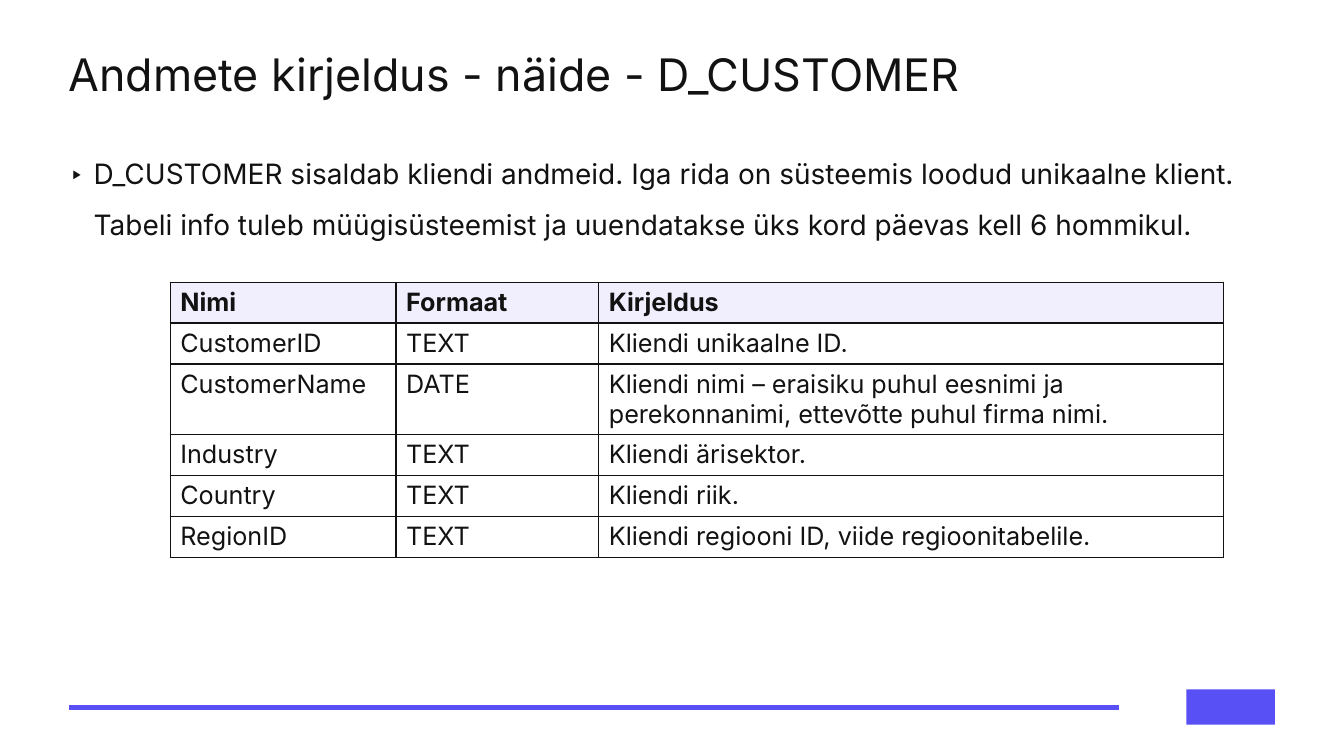
from dataclasses import dataclass

from lxml import etree
from pptx import Presentation
from pptx.dml.color import RGBColor
from pptx.enum.shapes import MSO_CONNECTOR, MSO_SHAPE
from pptx.oxml.ns import qn
from pptx.slide import Slide
from pptx.table import _Cell
from pptx.text.text import _Paragraph
from pptx.util import Cm, Pt

STRAIGHT = MSO_CONNECTOR.STRAIGHT
RECTANGLE = MSO_SHAPE.RECTANGLE


@dataclass(frozen=True)
class Theme:
    font: str = "Inter"
    ink: str = "121212"
    accent: str = "584FF5"
    header_fill: str = "F1EFFE"
    title_size: int = 32
    body_size: int = 20
    table_size: int = 18
    border_width: int = 1
    rule_width: int = 3


@dataclass(frozen=True)
class TextBlock:
    text: str
    left: float
    top: float
    width: float
    height: float
    size: int
    line_spacing: float
    bullet: str = ""


@dataclass(frozen=True)
class Field:
    name: str
    data_format: str
    description: str


THEME = Theme()

TEXT_BLOCKS = [
    TextBlock("Andmete kirjeldus - näide - D_CUSTOMER",
              1.73, 1.32, 27.89, 0.99, THEME.title_size, 0.9),
    TextBlock("D_CUSTOMER sisaldab kliendi andmeid. Iga rida on süsteemis loodud "
              "unikaalne klient. Tabeli info tuleb müügisüsteemist ja uuendatakse "
              "üks kord päevas kell 6 hommikul.",
              1.73, 3.53, 30.4, 12.4, THEME.body_size, 1.5, "‣"),
]

HEADER = Field("Nimi", "Formaat", "Kirjeldus")
FIELDS = [
    Field("CustomerID", "TEXT", "Kliendi unikaalne ID."),
    Field("CustomerName", "DATE",
          "Kliendi nimi – eraisiku puhul eesnimi ja perekonnanimi, "
          "ettevõtte puhul firma nimi."),
    Field("Industry", "TEXT", "Kliendi ärisektor."),
    Field("Country", "TEXT", "Kliendi riik."),
    Field("RegionID", "TEXT", "Kliendi regiooni ID, viide regioonitabelile."),
]
COLUMN_WIDTHS = [5.69, 5.11, 15.75]
ROW_HEIGHT = 1.03


def color(value: str) -> RGBColor:
    return RGBColor.from_string(value)


def add_run(paragraph: _Paragraph, text: str, size: int, bold: bool = False) -> None:
    run = paragraph.add_run()
    run.text = text
    run.font.name = THEME.font
    run.font.size = Pt(size)
    run.font.bold = bold
    run.font.color.rgb = color(THEME.ink)


def add_bullet(paragraph: _Paragraph, character: str) -> None:
    properties = paragraph._p.get_or_add_pPr()
    properties.set("marL", str(Cm(0.63)))
    properties.set("indent", str(-Cm(0.63)))
    bullet_color = etree.SubElement(properties, qn("a:buClr"))
    etree.SubElement(bullet_color, qn("a:srgbClr"), val=THEME.ink)
    etree.SubElement(properties, qn("a:buFont"), typeface=THEME.font)
    etree.SubElement(properties, qn("a:buChar"), char=character)


def add_text_block(slide: Slide, block: TextBlock) -> None:
    shape = slide.shapes.add_textbox(
        Cm(block.left), Cm(block.top), Cm(block.width), Cm(block.height))
    frame = shape.text_frame
    frame.word_wrap = True
    frame.margin_left = frame.margin_right = 0
    frame.margin_top = frame.margin_bottom = 0
    paragraph = frame.paragraphs[0]
    paragraph.line_spacing = block.line_spacing
    if block.bullet:
        add_bullet(paragraph, block.bullet)
    add_run(paragraph, block.text, block.size)


def add_borders(cell: _Cell) -> None:
    properties = cell._tc.get_or_add_tcPr()
    for side in ("lnL", "lnR", "lnT", "lnB"):
        border = etree.SubElement(
            properties, qn(f"a:{side}"), w=str(Pt(THEME.border_width)))
        fill = etree.SubElement(border, qn("a:solidFill"))
        etree.SubElement(fill, qn("a:srgbClr"), val=THEME.ink)


def add_field_table(slide: Slide) -> None:
    fields = [HEADER, *FIELDS]
    table = slide.shapes.add_table(
        len(fields), len(COLUMN_WIDTHS), Cm(4.29), Cm(7.11),
        Cm(sum(COLUMN_WIDTHS)), Cm(ROW_HEIGHT * len(fields))).table
    table.horz_banding = False
    table.first_row = False
    for column, width in zip(table.columns, COLUMN_WIDTHS):
        column.width = Cm(width)
    for row, field in zip(table.rows, fields):
        row.height = Cm(ROW_HEIGHT)
        is_header = field is HEADER
        texts = (field.name, field.data_format, field.description)
        for cell, text in zip(row.cells, texts):
            add_borders(cell)
            if is_header:
                cell.fill.solid()
                cell.fill.fore_color.rgb = color(THEME.header_fill)
            else:
                cell.fill.background()
            add_run(cell.text_frame.paragraphs[0], text, THEME.table_size, is_header)


def add_footer(slide: Slide) -> None:
    rule = slide.shapes.add_connector(
        STRAIGHT, Cm(1.73), Cm(17.83), Cm(28.19), Cm(17.83))
    rule.line.color.rgb = color(THEME.accent)
    rule.line.width = Pt(THEME.rule_width)
    etree.SubElement(rule._element.spPr, qn("a:effectLst"))
    emblem = slide.shapes.add_shape(
        RECTANGLE, Cm(29.9), Cm(17.37), Cm(2.23), Cm(0.89))
    emblem.shadow.inherit = False
    emblem.fill.solid()
    emblem.fill.fore_color.rgb = color(THEME.accent)
    emblem.line.fill.background()


def main() -> None:
    presentation = Presentation()
    presentation.slide_width = Cm(33.87)
    presentation.slide_height = Cm(19.05)
    slide = presentation.slides.add_slide(presentation.slide_layouts[6])
    add_footer(slide)
    for block in TEXT_BLOCKS:
        add_text_block(slide, block)
    add_field_table(slide)
    presentation.save("out.pptx")


if __name__ == "__main__":
    main()
